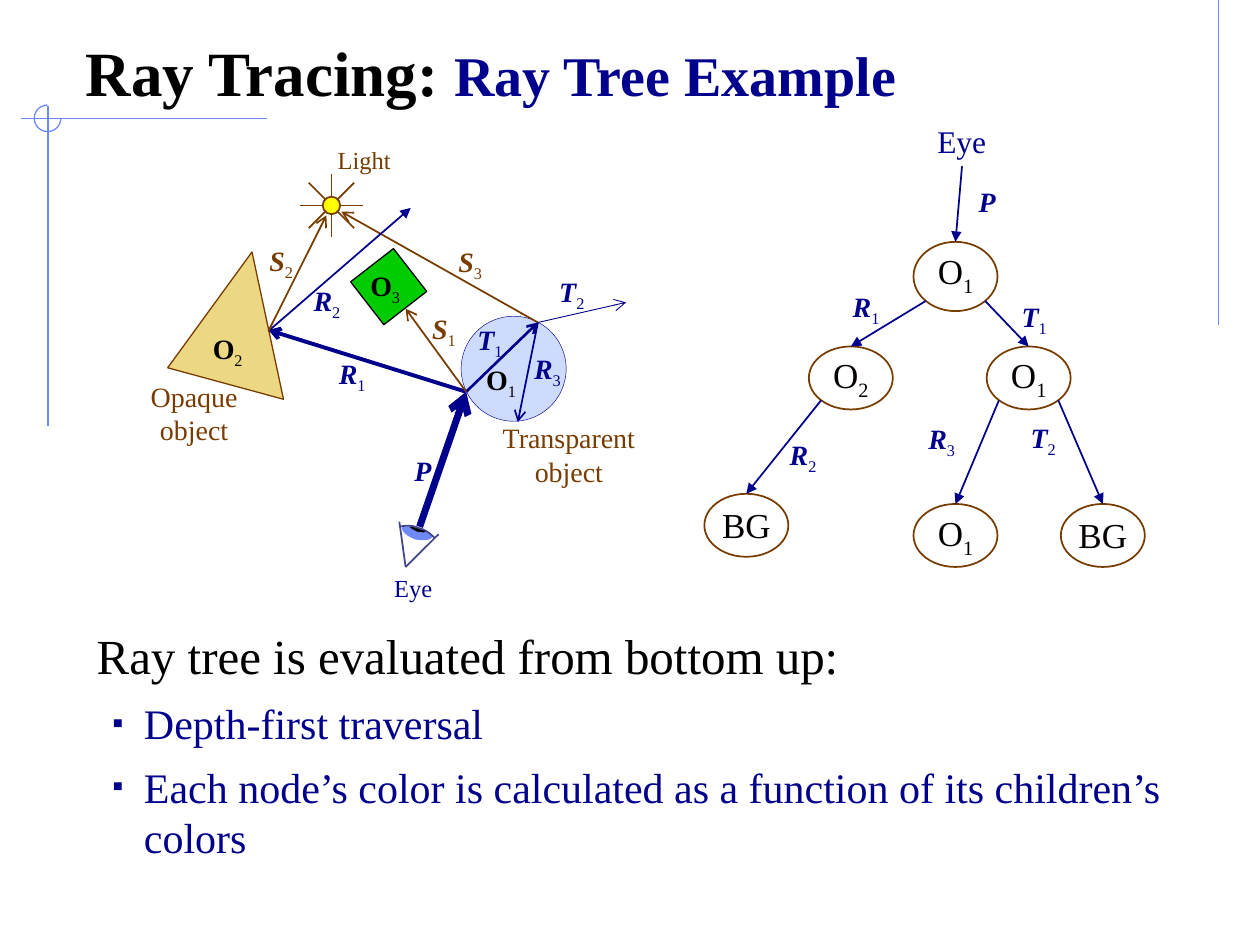
"""Build the ray tree example slide: traced scene, ray tree and summary."""
from math import sqrt

from lxml.etree import SubElement
from pptx import Presentation
from pptx.dml.color import RGBColor
from pptx.enum.shapes import MSO_CONNECTOR as Connector, MSO_SHAPE as Shape
from pptx.enum.text import MSO_ANCHOR as Anchor, MSO_AUTO_SIZE as AutoSize, PP_ALIGN as Align
from pptx.oxml.ns import qn
from pptx.util import Pt

FONT = "Times New Roman"
BLACK = RGBColor(0, 0, 0)
INK = RGBColor(5, 0, 0)
NAVY = RGBColor(0, 0, 0x8C)
BROWN = RGBColor(0x78, 0x3C, 0)
BLUE = RGBColor(0x6F, 0x89, 0xF7)
SLATE = RGBColor(0x40, 0x45, 0x8C)
PALE = RGBColor(0xCF, 0xDB, 0xFD)
SAND = RGBColor(0xEC, 0xD8, 0x82)
GREEN = RGBColor(0, 0xCC, 0)
YELLOW = RGBColor(0xFF, 0xFF, 0)

TITLE = [("Ray Tracing: ", 36, BLACK), ("Ray Tree Example", 32, NAVY)]
SUMMARY = "Ray tree is evaluated from bottom up:"
BULLETS = ["Depth-first traversal",
           "Each node’s color is calculated as a function of its children’s colors"]

FRAME_LINES = [((696.2, 0), (696.2, 185.8)), ((152.6, 67.7), (12.2, 67.7)),
               ((27.4, 60.5), (27.4, 243.4))]
TRIANGLE = [(144, 144), (95.8, 210.2), (162, 228.2)]
LIGHT = (189.4, 117.4)
SPOKES = [(0, 18), (18, 0), (13, 13), (13, -13)]

EYE_TIP = (231.8, 324)
EYE_SIDES = [(228.2, 298.1), (250.6, 305.3)]
PUPIL = [(233.3, 301), (234, 301), (236.2, 301), (238.3, 301.7), (239.8, 301.7),
         (243.4, 303.1), (243.4, 303.8), (244.1, 304.6), (241.9, 305.3), (241.2, 305.3),
         (239.8, 305.3), (239, 305.3), (237.6, 304.6), (236.9, 303.8), (234.7, 303.1),
         (234, 302.4), (232.6, 301.7), (233.3, 301.7), (233.3, 301)]
IRIS = [(245.5, 305.3), (244.8, 306.7), (241.2, 306.7), (237.6, 306),
        (234.7, 304.6), (231.8, 303.1), (231.8, 301)]
LID = [(228.2, 301), (231.8, 300.2), (236.2, 300.2), (239, 301.7),
       (242.6, 302.4), (245.5, 304.6), (248.4, 307.4)]

ENTRY, EXIT, BOUNCE = (266.4, 223.9), (307.4, 184.3), (153.4, 189.2)
RAYS = [((239.8, 301), ENTRY, NAVY, 4, "arrow"),
        (EXIT, (295.9, 241.2), NAVY, 1, "arrow"),
        (EXIT, (357.8, 172.8), NAVY, 0.5, "arrow"),
        (EXIT, (195.1, 121), BROWN, 1, "arrow"),
        (ENTRY, (153.4, 188.6), NAVY, 2.25, "arrow"),
        (ENTRY, EXIT, NAVY, 1.5, "arrow"),
        (ENTRY, (231.8, 176.4), BROWN, 1, "arrow"),
        (BOUNCE, (234.7, 118.8), NAVY, 1, "triangle"),
        (BOUNCE, (186.5, 123.1), BROWN, 1, "arrow")]

LABEL_WIDTHS = {"P": 23.8, "R": 29.5, "T": 28.8, "S": 28, "O": 34}
LABELS = [("P", 229.7, 255.6), ("R_3", 298.1, 197.3), ("T_2", 312.5, 153.4),
          ("S_3", 254.9, 136.1), ("R_1", 186.5, 200.2), ("T_1", 265.7, 180.7),
          ("S_1", 239.8, 174.2), ("R_2", 172.1, 158.4), ("S_2", 146.9, 135.4),
          ("O_2", 114.5, 185.8), ("O_1", 270.7, 203.8), ("O_3", 204.5, 149.8),
          ("P", 552.2, 102.2), ("R_2", 444.2, 246.2), ("R_3", 523.4, 237.6),
          ("T_2", 581.8, 236.9), ("R_1", 480.2, 162), ("T_1", 576.7, 167.8)]
CAPTIONS = [("Light", 185.8, 79.2, 44.6, 24.5, 14, BROWN, False),
            ("Eye", 218.2, 324, 36, 24.5, 14, NAVY, False),
            ("Opaque object", 77.8, 213.1, 66.2, 46.1, 16, BROWN, True),
            ("Transparent object", 279.4, 236.9, 91.4, 46.1, 16, BROWN, True)]

NODE_WIDTH, NODE_HEIGHT = 48, 36
NODES = [("O_1", 522, 138.2, 39.6), ("O_2", 462.2, 198, 36), ("O_1", 563.8, 198, 36),
         ("BG", 402.5, 282.2, 36), ("O_1", 522, 288, 36), ("BG", 606.2, 288, 36)]
EDGES = [(0, 1, -1), (0, 2, 1), (1, 3, -1), (2, 4, -1), (2, 5, 1)]


def add_box(page, left, top, width, height, wrap=True, anchor=Anchor.TOP):
    box = page.shapes.add_textbox(Pt(left), Pt(top), Pt(width), Pt(height))
    box.text_frame.word_wrap = wrap
    box.text_frame.vertical_anchor = anchor
    if not wrap:
        box.text_frame.auto_size = AutoSize.SHAPE_TO_FIT_TEXT
    return box


def add_span(para, text, size=16, color=NAVY, bold=False, italic=False, sub=False):
    span = para.add_run()
    span.text = text
    font = span.font
    font.name, font.size, font.bold, font.italic = FONT, Pt(size), bold, italic
    font.color.rgb = color
    if sub:
        font._element.set("baseline", "-25000")


def add_label(page, text, left, top, width, height, bold=False, align=Align.LEFT, **style):
    box = add_box(page, left, top, width, height, wrap=False)
    para = box.text_frame.paragraphs[0]
    para.alignment = align
    name, _, index = text.partition("_")
    add_span(para, name, bold=bold, **style)
    if index:
        add_span(para, index, sub=True, **{**style, "italic": False})


def paint(shape, fill=None, line=None, weight=0.75):
    shape.shadow.inherit = False
    if fill is None:
        shape.fill.background()
    else:
        shape.fill.solid()
        shape.fill.fore_color.rgb = fill
    if line is None:
        shape.line.fill.background()
    else:
        shape.line.color.rgb = line
        shape.line.width = Pt(weight)
    return shape


def add_shape(page, kind, left, top, width, height, **style):
    shape = page.shapes.add_shape(kind, Pt(left), Pt(top), Pt(width), Pt(height))
    return paint(shape, **style)


def add_outline(page, points, close=False, **style):
    corners = [(Pt(x), Pt(y)) for x, y in points]
    builder = page.shapes.build_freeform(*corners[0], scale=1.0)
    builder.add_line_segments(corners[1:], close=close)
    return paint(builder.convert_to_shape(), **style)


def smooth(controls, steps=8):
    points = [controls[0]]
    for first in range(0, len(controls) - 1, 3):
        a, b, c, d = controls[first:first + 4]
        for step in range(1, steps + 1):
            t = step / steps
            u = 1 - t
            points.append(tuple(u**3 * p + 3 * u * u * t * q + 3 * u * t * t * r + t**3 * s
                                for p, q, r, s in zip(a, b, c, d)))
    return points


def add_line(page, start, end, color, weight=1, head=None):
    line = page.shapes.add_connector(Connector.STRAIGHT, *map(Pt, start + end))
    line.line.color.rgb = color
    line.line.width = Pt(weight)
    if head:
        SubElement(line.line._get_or_add_ln(), qn("a:tailEnd"), type=head)
    SubElement(line._element.spPr, qn("a:effectLst"))
    return line


def draw_frame(page):
    for start, end in FRAME_LINES:
        add_line(page, start, end, BLUE, 0.75)
    arc = add_shape(page, Shape.ARC, 19.6, 60, 15.2, 15.2, line=BLUE)
    arc.adjustments[0], arc.adjustments[1] = 0, 162
    box = add_box(page, 41.8, 18, 635.8, 48.2, anchor=Anchor.BOTTOM)
    for text, size, color in TITLE:
        add_span(box.text_frame.paragraphs[0], text, size, color, bold=True)


def draw_scene(page):
    add_outline(page, smooth(PUPIL), close=True, fill=BLACK)
    add_outline(page, smooth(IRIS), line=BLUE, weight=4.5)
    for corner in EYE_SIDES:
        add_line(page, EYE_TIP, corner, SLATE)
    add_outline(page, smooth(LID), line=SLATE, weight=1)
    add_shape(page, Shape.OVAL, 263.5, 180.7, 60, 60, fill=PALE, line=NAVY, weight=0.25)
    add_outline(page, TRIANGLE, close=True, fill=SAND, line=BROWN)
    x, y = LIGHT
    for dx, dy in SPOKES:
        add_line(page, (x - dx, y - dy), (x + dx, y + dy), BROWN)
    add_shape(page, Shape.OVAL, x - 5, y - 5, 10, 10, fill=YELLOW, line=BROWN, weight=1)
    add_shape(page, Shape.RECTANGLE, 206.6, 148.3, 31, 31, fill=GREEN, line=BLACK).rotation = 52.2
    for ray in RAYS:
        add_line(page, *ray)
    for text, left, top, width, height, size, color, wrap in CAPTIONS:
        box = add_box(page, left, top, width, height, wrap)
        para = box.text_frame.paragraphs[0]
        para.alignment = Align.CENTER if wrap else Align.LEFT
        add_span(para, text, size, color)


def draw_tree(page):
    eye = add_box(page, 528.5, 66.2, 42.5, 28.8, wrap=False)
    add_span(eye.text_frame.paragraphs[0], "Eye", 18)
    ovals = []
    for text, left, top, height in NODES:
        ovals.append(add_shape(page, Shape.OVAL, left, top, NODE_WIDTH, height,
                               line=BROWN, weight=1))
        high = 31.7 if text == "BG" else 34.6
        add_label(page, text, left, top + (NODE_HEIGHT - high) / 2, NODE_WIDTH, high,
                  align=Align.CENTER, size=20, color=INK)
    trunk = add_line(page, (549.7, 95), (546, 138.2), NAVY, head="triangle")
    trunk.begin_connect(eye, 2)
    trunk.end_connect(ovals[0], 0)
    for parent, child, side in EDGES:
        _, left, top, height = NODES[parent]
        start = (left + NODE_WIDTH / 2 * (1 + side / sqrt(2)), top + height / 2 * (1 + 1 / sqrt(2)))
        edge = add_line(page, start, start, NAVY, head="triangle")
        edge.end_connect(ovals[child], 0)


def draw_labels(page):
    for text, left, top in LABELS:
        color = {"S": BROWN, "O": BLACK}.get(text[0], NAVY)
        add_label(page, text, left, top, LABEL_WIDTHS[text[0]], 29.5 if "_" in text else 26.6,
                  color=color, bold=True, italic=text[0] != "O")


def draw_summary(page):
    frame = add_box(page, 30.2, 354, 660.2, 150).text_frame
    frame.paragraphs[0]._p.get_or_add_pPr().set("marL", str(Pt(18)))
    add_span(frame.paragraphs[0], SUMMARY, 28, BLACK)
    for text in BULLETS:
        para = frame.add_paragraph()
        para.space_before = Pt(7.5)
        props = para._p.get_or_add_pPr()
        props.set("marL", str(Pt(45)))
        props.set("indent", str(Pt(-18)))
        SubElement(SubElement(props, qn("a:buClr")), qn("a:srgbClr"), val=str(NAVY))
        SubElement(props, qn("a:buSzPct"), val="75000")
        SubElement(props, qn("a:buFont"), typeface=FONT)
        SubElement(props, qn("a:buChar"), char="▪")
        add_span(para, text, 24)


def main():
    deck = Presentation()
    deck.slide_width, deck.slide_height = Pt(720), Pt(540)
    page = deck.slides.add_slide(deck.slide_layouts[6])
    for draw in (draw_frame, draw_scene, draw_tree, draw_labels, draw_summary):
        draw(page)
    deck.save("out.pptx")


if __name__ == "__main__":
    main()
